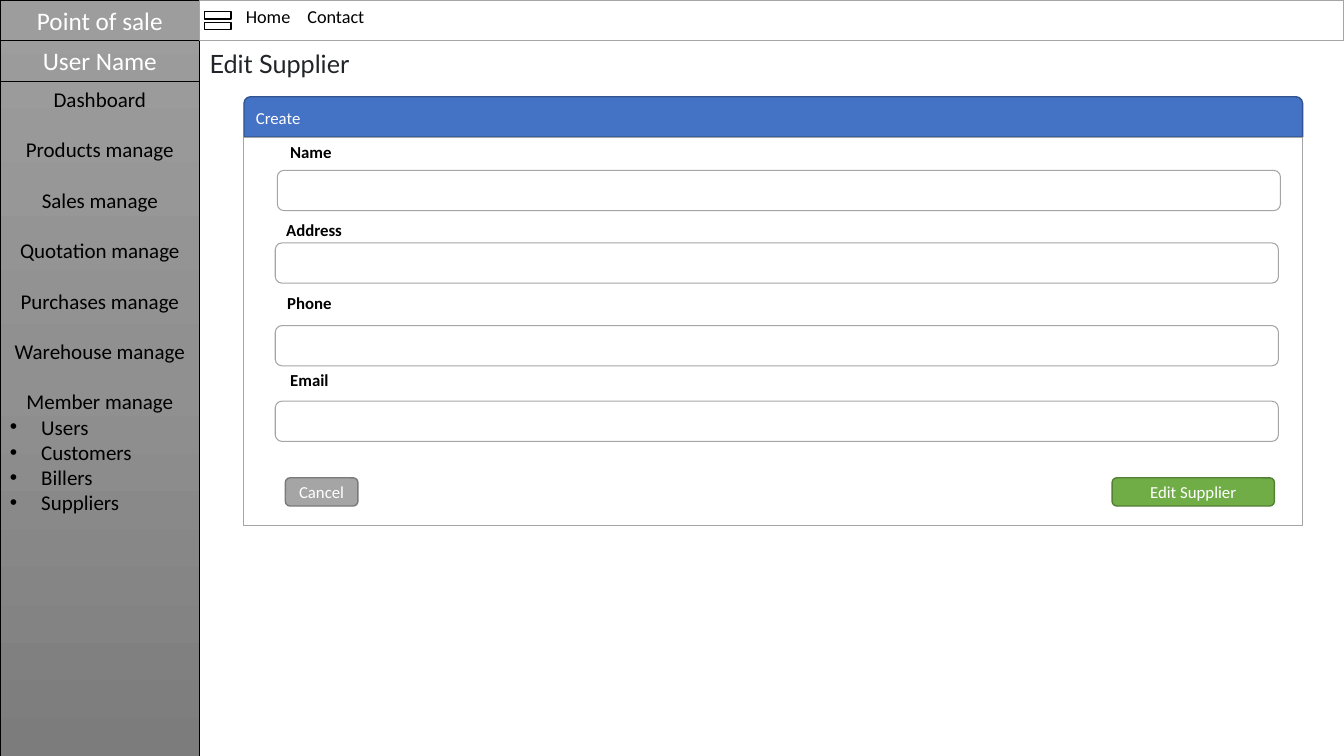
from copy import deepcopy
from lxml import etree
from pptx import Presentation, util as u
from pptx.dml.color import RGBColor
from pptx.enum import shapes, text
from pptx.oxml.ns import qn

# Content
BANNERS = ["Point of sale", "User Name"]
MENU = ["Dashboard", "Products manage", "Sales manage", "Quotation manage",
        "Purchases manage", "Warehouse manage", "Member manage"]
MEMBERS = ["Users", "Customers", "Billers", "Suppliers"]
NAV = [("Home", 2.34), ("Contact", 2.95)]
TITLE, PANEL_TITLE = "Edit Supplier", "Create"
# label, label left, label top, field left, field top
FIELDS = [("Name", 2.78, 1.36, 2.75, 1.69), ("Address", 2.74, 2.13, 2.73, 2.41),
          ("Phone", 2.75, 2.86, 2.73, 3.23), ("Email", 2.78, 3.62, 2.73, 3.98)]
# caption, left, width, fill, line
BUTTONS = [("Cancel", 2.83, 0.72, "gray", "gray_edge"),
           ("Edit Supplier", 11.03, 1.61, "green", "green_edge")]
C = {"white": "FFFFFF", "black": "000000", "ink": "212529", "gray": "A5A5A5",
     "gray_edge": "7A7A7A", "blue": "4472C4", "blue_edge": "325491",
     "green": "70AD47", "green_edge": "538035"}
SIDEBAR_STOPS = [(0, "9D9D9D"), (0.5, "909090"), (1, "7C7C7C")]

# Layout, in inches
W, H = 13.33, 7.5
SIDE, ROW = 1.98, 0.4
PANEL_X, PANEL_Y, PANEL_W, PANEL_H = 2.42, 0.96, 10.5, 3.85
FIELD_W, BUTTON_Y, BUTTON_H = 9.95, 4.74, 0.28
G = shapes.MSO_SHAPE
LEFT, CENTER = text.PP_ALIGN.LEFT, text.PP_ALIGN.CENTER

prs = Presentation()
prs.slide_width, prs.slide_height = u.Inches(W), u.Inches(H)
s = prs.slides.add_slide(prs.slide_layouts[6])


def rgb(name):
    return RGBColor.from_string(C[name])


def inches(*values):
    return [u.Inches(v) for v in values]


def write(sp, lines, size, color="black", align=LEFT, bold=None, font="Calibri"):
    tf = sp.text_frame
    tf.word_wrap = True
    tf.text = "\n".join(lines)
    for p in tf.paragraphs:
        p.alignment = align
        f = p.runs[0].font
        f.size, f.name, f.bold = u.Pt(size), font, bold
        f.color.rgb = rgb(color)
    return tf


def label(lines, x, y, w, h, size, **style):
    return write(s.shapes.add_textbox(*inches(x, y, w, h)), lines, size, **style)


def shape(kind, x, y, w, h, fill=None, line="gray", weight=1):
    sp = s.shapes.add_shape(kind, *inches(x, y, w, h))
    sp.shadow.inherit = False
    if fill:
        sp.fill.solid()
        sp.fill.fore_color.rgb = rgb(fill)
    else:
        sp.fill.background()
    sp.line.color.rgb, sp.line.width = rgb(line), u.Pt(weight)
    return sp


# Sidebar with a three-stop gradient
side = shape(G.RECTANGLE, 0, 0, SIDE, H, line="black", weight=0.5)
side.fill.gradient()
side.fill.gradient_angle = 270
stop_list = side._element.find(".//" + qn("a:gsLst"))
stop_list.insert(1, deepcopy(stop_list[0]))
for stop, (pos, color) in zip(side.fill.gradient_stops, SIDEBAR_STOPS):
    stop.position, stop.color.rgb = pos, RGBColor.from_string(color)

# Sidebar banners, each closed by a rule
for i, banner in enumerate(BANNERS):
    label([banner], 0, i * ROW, SIDE, ROW, 18, color="white", align=CENTER)
    y = (i + 1) * 0.405
    rule = s.shapes.add_connector(shapes.MSO_CONNECTOR.STRAIGHT, *inches(0, y, SIDE, y))
    rule.line.color.rgb, rule.line.width = rgb("black"), u.Pt(0.5)
    etree.SubElement(rule._element.spPr, qn("a:effectLst"))

# Sidebar menu: spaced entries, then bulleted members
menu = label(MENU + MEMBERS, 0, 0.81, SIDE, 4.64, 15, align=CENTER)
for p in menu.paragraphs[:len(MENU) - 1]:
    p.space_after = u.Pt(18)
for p in menu.paragraphs[len(MENU):]:
    p.alignment = LEFT
    pPr = p._p.get_or_add_pPr()
    pPr.set("marL", str(u.Inches(0.31)))
    pPr.set("indent", str(-u.Inches(0.31)))
    etree.SubElement(pPr, qn("a:buFont"), typeface="Arial")
    etree.SubElement(pPr, qn("a:buChar"), char="•")

# Top bar and page title
shape(G.RECTANGLE, SIDE, 0, W - SIDE, ROW, "white")
shape(G.MATH_EQUAL, SIDE, 0.05, 0.36, 0.31, "white", "black")
for name, x in NAV:
    label([name], x, 0, 0.78, 0.32, 13)
label([TITLE], SIDE, 0.43, 2.2, ROW, 18, color="ink", font="Lato")

# Form panel
head = shape(G.ROUND_2_SAME_RECTANGLE, PANEL_X, PANEL_Y, PANEL_W, ROW, "blue", "blue_edge")
write(head, [PANEL_TITLE], 12, "white")
shape(G.RECTANGLE, PANEL_X, PANEL_Y + ROW, PANEL_W, PANEL_H, weight=0.75)
for name, label_x, label_y, x, y in FIELDS:
    shape(G.ROUNDED_RECTANGLE, x, y, FIELD_W, ROW, weight=0.75)
    label([name], label_x, label_y, 0.84, 0.3, 12, bold=True)

# Buttons
for caption, x, w, fill, line in BUTTONS:
    button = shape(G.ROUNDED_RECTANGLE, x, BUTTON_Y, w, BUTTON_H, fill, line)
    write(button, [caption], 12, "white", CENTER)

prs.save("out.pptx")
